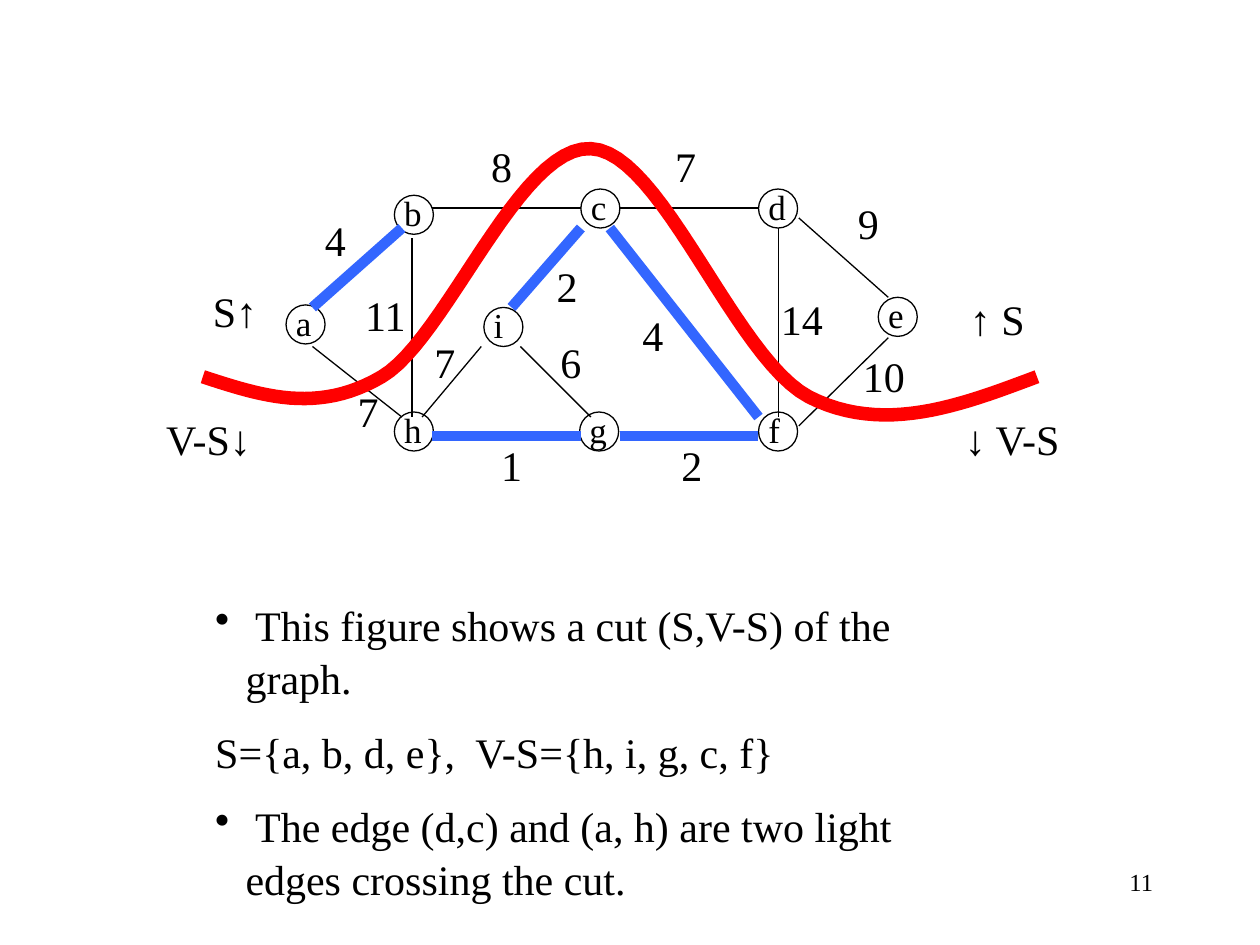
from lxml.etree import SubElement
from pptx import Presentation
from pptx.dml.color import RGBColor
from pptx.enum.shapes import MSO_CONNECTOR, MSO_SHAPE
from pptx.enum.text import MSO_AUTO_SIZE, PP_ALIGN
from pptx.oxml.ns import qn
from pptx.util import Inches, Pt

COLORS = {"ink": "000000", "tree": "3366FF", "cut": "FF0000"}
FONT = "Times New Roman"
NODE_SIZE = 0.31

# Graph nodes: name, circle left and top, letter box width
nodes = [
    ("a", 2.27, 2.42, 0.32), ("b", 3.13, 1.55, 0.34), ("h", 3.13, 3.27, 0.34),
    ("c", 4.61, 1.5, 0.32), ("d", 6.02, 1.5, 0.34), ("e", 6.97, 2.36, 0.32),
    ("f", 6.02, 3.27, 0.29), ("g", 4.6, 3.27, 0.34), ("i", 3.84, 2.44, 0.28),
]

# Edges: start and end points
tree_edges = [
    (2.48, 2.44, 3.19, 1.81), (3.43, 3.46, 4.61, 3.46), (4.92, 3.46, 6.02, 3.46),
    (4.84, 1.81, 6.02, 3.31), (4.06, 2.44, 4.61, 1.81),
]
plain_edges = [
    (2.48, 2.75, 3.19, 3.31), (3.27, 1.89, 3.27, 3.31), (3.43, 1.65, 4.61, 1.65),
    (4.92, 1.65, 6.02, 1.65), (6.18, 1.81, 6.18, 3.31), (6.34, 1.73, 7.05, 2.36),
    (6.34, 3.38, 7.05, 2.68), (4.13, 2.75, 4.69, 3.31), (3.35, 3.31, 3.82, 2.75),
]

# Edge weights: value, left, top
weights = [
    ("4", 2.48, 1.65), ("8", 3.8, 1.07), ("7", 5.26, 1.07), ("9", 6.71, 1.52),
    ("10", 6.75, 2.73), ("14", 6.1, 2.28), ("4", 5, 2.41), ("2", 4.32, 2.02),
    ("2", 5.31, 3.44), ("6", 4.35, 2.62), ("1", 3.88, 3.44), ("7", 3.35, 2.62),
    ("11", 2.8, 2.25), ("7", 2.74, 3.01),
]

# Labels on both sides of the cut: text, left, top, width
side_labels = [
    ("V-S↓", 1.22, 3.23, 1.07), ("S↑", 1.59, 2.22, 0.72),
    ("↑ S", 7.6, 2.28, 0.64), ("↓ V-S", 7.56, 3.23, 0.99),
]

# Cut curve: start, then two control points and an end per segment
cut_start = (1.61, 2.99)
cut_segments = [
    ((2.07, 3.14), (2.52, 3.29), (3.03, 2.99)),
    ((3.54, 2.69), (4.12, 1.15), (4.69, 1.18)),
    ((5.25, 1.2), (5.83, 2.84), (6.42, 3.15)),
    ((7.01, 3.45), (7.62, 3.22), (8.23, 2.99)),
]

# Explanation: text, bulleted
explanation = [
    (" This figure shows a cut (S,V-S) of the graph.", True),
    ("S={a, b, d, e},  V-S={h, i, g, c, f}", False),
    (" The edge (d,c) and (a, h) are two light edges crossing the cut.", True),
]

deck = Presentation()
deck.slide_width, deck.slide_height = Inches(10), Inches(7.5)
slide = deck.slides.add_slide(deck.slide_layouts[6])
shapes = slide.shapes


def color(name):
    return RGBColor.from_string(COLORS[name])


def add_text(lines, left, top, width, height, size=24, wrap=False,
             align=PP_ALIGN.LEFT, before=0, spacing=None):
    """Add a text box with one paragraph per line and return its paragraphs."""
    box = shapes.add_textbox(Inches(left), Inches(top), Inches(width), Inches(height))
    frame = box.text_frame
    frame.word_wrap = wrap
    frame.auto_size = MSO_AUTO_SIZE.NONE if wrap else MSO_AUTO_SIZE.SHAPE_TO_FIT_TEXT
    frame.text = "\n".join(lines)
    for paragraph in frame.paragraphs:
        paragraph.alignment = align
        paragraph.space_before = Pt(before)
        paragraph.line_spacing = spacing
        font = paragraph.runs[0].font
        font.name, font.size = FONT, Pt(size)
        font.color.rgb = color("ink")
    return frame.paragraphs


def add_edge(x1, y1, x2, y2, tone, weight):
    edge = shapes.add_connector(MSO_CONNECTOR.STRAIGHT, Inches(x1), Inches(y1),
                                Inches(x2), Inches(y2))
    edge.line.color.rgb = color(tone)
    edge.line.width = Pt(weight)
    SubElement(edge._element.spPr, qn("a:effectLst"))


def outline(shape, tone, weight):
    shape.shadow.inherit = False
    shape.fill.background()
    shape.line.color.rgb = color(tone)
    shape.line.width = Pt(weight)


def curve_points(start, segments, steps=24):
    """Return points along a chain of cubic curves."""
    points = [start]
    for c1, c2, end in segments:
        p0 = points[-1]
        for step in range(1, steps + 1):
            t = step / steps
            u = 1 - t
            points.append(tuple(
                u**3 * a + 3 * u * u * t * b + 3 * u * t * t * c + t**3 * d
                for a, b, c, d in zip(p0, c1, c2, end)))
    return points


# Nodes
for name, left, top, width in nodes:
    add_text([name], left - 0.02, top - 0.08, width, 0.43, size=20)
    circle = shapes.add_shape(MSO_SHAPE.OVAL, Inches(left), Inches(top),
                              Inches(NODE_SIZE), Inches(NODE_SIZE))
    outline(circle, "ink", 0.75)

# Edges and weights
for edge_ends in plain_edges:
    add_edge(*edge_ends, "ink", 0.75)
for edge_ends in tree_edges:
    add_edge(*edge_ends, "tree", 6)
for value, left, top in weights:
    add_text([value], left, top, 0.2 + 0.167 * len(value), 0.5)

# Cut
first, *rest = [(Inches(x), Inches(y)) for x, y in curve_points(cut_start, cut_segments)]
cut_builder = shapes.build_freeform(*first)
cut_builder.add_line_segments(rest, close=False)
outline(cut_builder.convert_to_shape(), "cut", 7.75)
for label, left, top, width in side_labels:
    add_text([label], left, top, width, 0.5)

# Explanation with hanging bullets
paragraphs = add_text([line for line, _ in explanation], 1.61, 4.69, 6.38, 2.12,
                      wrap=True, before=12, spacing=1.05)
for paragraph, (_, bulleted) in zip(paragraphs, explanation):
    if bulleted:
        properties = paragraph._p.get_or_add_pPr()
        properties.set("marL", str(Inches(0.24)))
        properties.set("indent", str(-Inches(0.24)))
        SubElement(properties, qn("a:buChar")).set("char", "•")

# Page number
add_text(["11"], 7.17, 6.83, 2.08, 0.5, size=14, wrap=True, align=PP_ALIGN.RIGHT)

deck.save("out.pptx")
